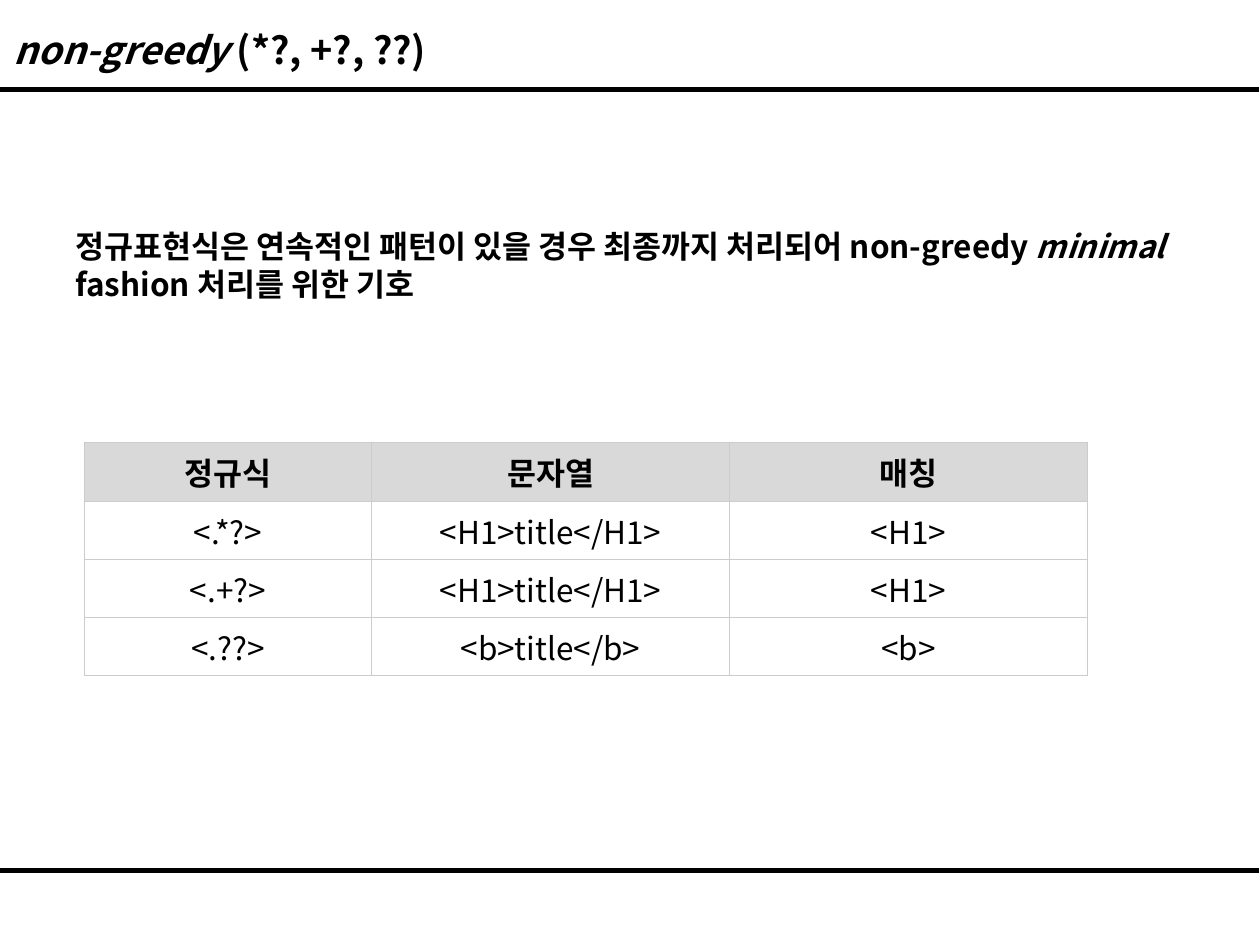
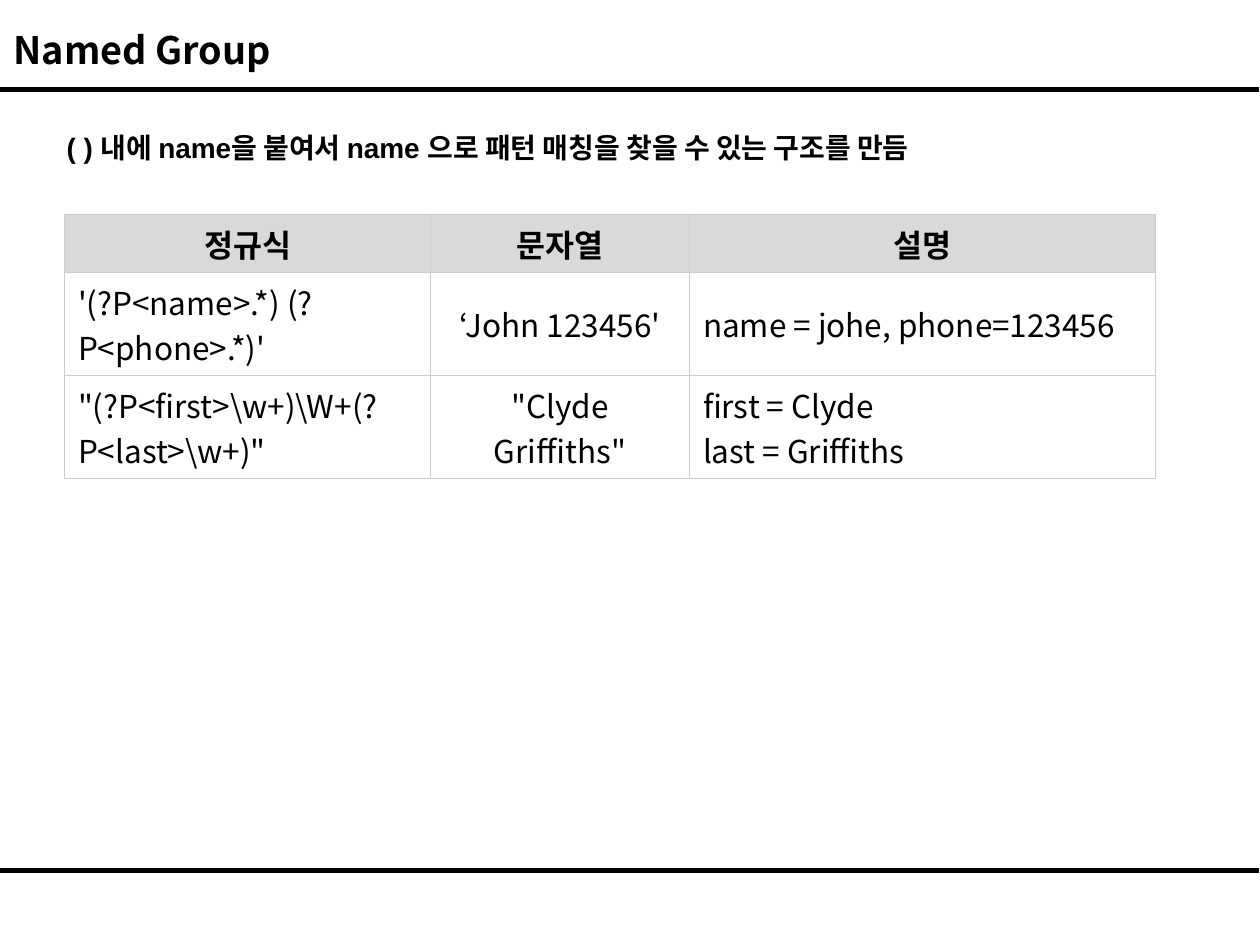
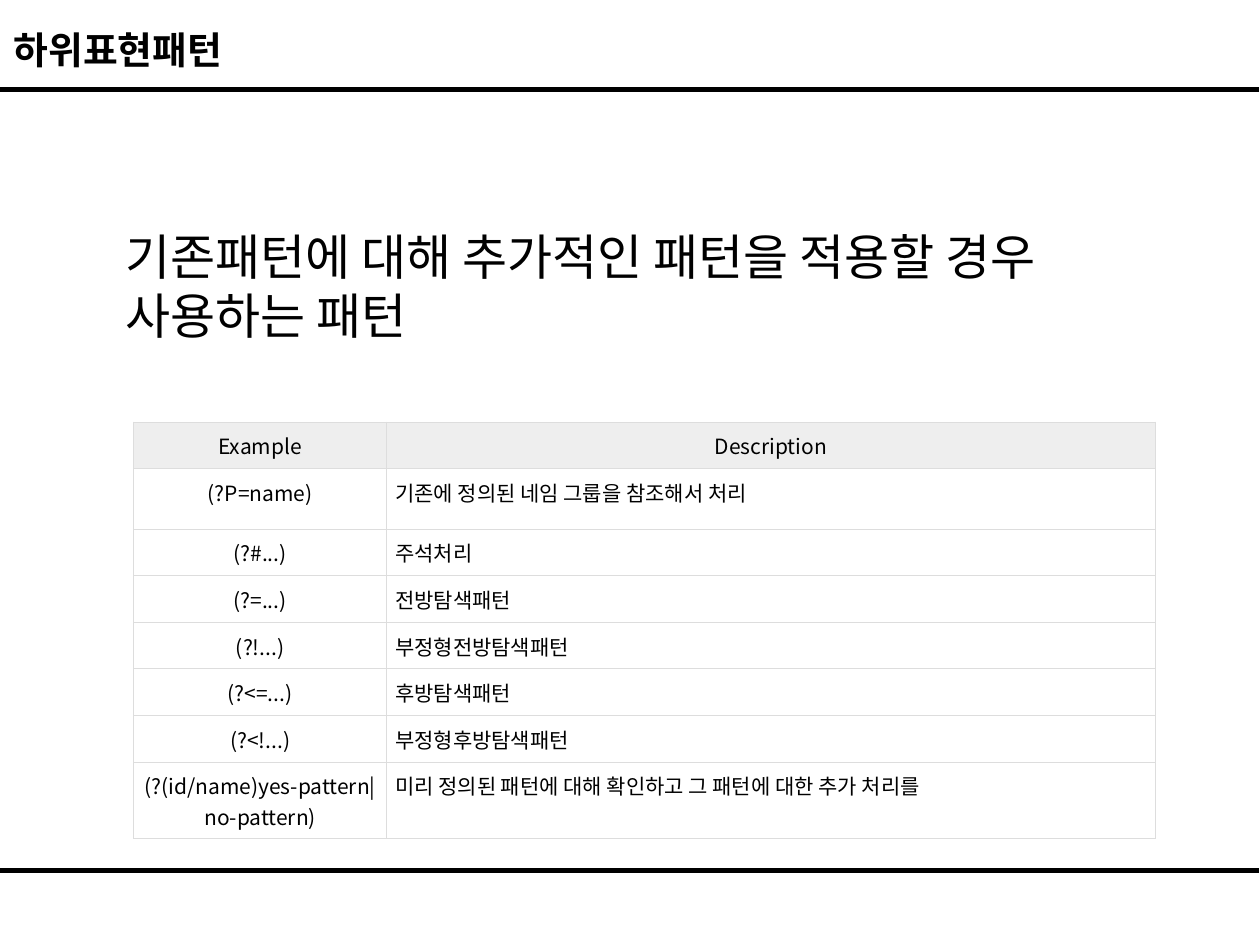
"""Build three slides on regular-expression groups and sub-patterns."""
from dataclasses import dataclass

from lxml.etree import SubElement
from pptx import Presentation
from pptx.dml.color import RGBColor
from pptx.enum.shapes import MSO_CONNECTOR
from pptx.enum.text import MSO_ANCHOR, PP_ALIGN
from pptx.oxml.ns import qn
from pptx.slide import Slide
from pptx.table import _Cell
from pptx.text.text import TextFrame
from pptx.util import Emu, Inches, Pt

BLACK = RGBColor(0x00, 0x00, 0x00)
WHITE = RGBColor(0xFF, 0xFF, 0xFF)
GREY = RGBColor(0xD9, 0xD9, 0xD9)
PALE = RGBColor(0xEE, 0xEE, 0xEE)
RULE = RGBColor(0xCC, 0xCC, 0xCC)
PALE_RULE = RGBColor(0xDD, 0xDD, 0xDD)

SANS = "Noto Sans CJK KR"
LATIN = "Arial"
WIDTH, HEIGHT = Inches(10), Inches(7.5)
COLS, ROWS = 100, 75
RULE_ROWS = (7.1, 69.1)
LEFT, CENTER = PP_ALIGN.LEFT, PP_ALIGN.CENTER


def cols(n: float) -> Emu:
    """Return the width of n grid columns."""
    return Emu(round(WIDTH * n / COLS))


def rows(n: float) -> Emu:
    """Return the height of n grid rows."""
    return Emu(round(HEIGHT * n / ROWS))


@dataclass(frozen=True)
class Style:
    """Font settings of a run."""
    size: float
    bold: bool = False
    italic: bool = False
    font: str = SANS


@dataclass(frozen=True)
class Span:
    """A piece of text in one style."""
    text: str
    style: Style


@dataclass(frozen=True)
class Box:
    """A text area in grid units."""
    left: float
    top: float
    width: float
    height: float
    anchor: MSO_ANCHOR = MSO_ANCHOR.TOP
    indent: float = 0


@dataclass(frozen=True)
class TableLook:
    """Styling of a table."""
    head: Style
    body: Style
    head_fill: RGBColor
    border: RGBColor
    anchor: MSO_ANCHOR
    inset_x: Emu
    inset_y: Emu


@dataclass(frozen=True)
class Grid:
    """A table with its place, track sizes and column alignment."""
    left: float
    top: float
    widths: tuple[float, ...]
    heights: tuple[float, ...]
    aligns: tuple[PP_ALIGN, ...]
    cells: tuple[tuple[str, ...], ...]
    look: TableLook


@dataclass(frozen=True)
class Page:
    """The content of one slide."""
    title: tuple[Span, ...]
    body_box: Box
    body: tuple[Span, ...]
    grid: Grid


TITLE_BOX = Box(0.1, 1.6, 98.8, 4.6, MSO_ANCHOR.MIDDLE)
TITLE = Style(21.6, bold=True)
TITLE_ITALIC = Style(21.6, bold=True, italic=True)
LEAD = Style(18, bold=True)
LEAD_ITALIC = Style(18, bold=True, italic=True)
NOTE = Style(16, bold=True, font=LATIN)
LARGE = Style(28)
SMALL = Style(12)

MAIN_LOOK = TableLook(LEAD, Style(18), GREY, RULE, MSO_ANCHOR.MIDDLE,
                      Inches(0.11), Inches(0.05))
SMALL_LOOK = TableLook(SMALL, SMALL, PALE, PALE_RULE, MSO_ANCHOR.TOP,
                       Pt(4.8), Pt(4.8))

PAGES = (
    Page(
        (Span("non-greedy ", TITLE_ITALIC), Span("(*?, +?, ??)", TITLE)),
        Box(5, 17.5, 90, 14.5),
        (Span("정규표현식은 연속적인 패턴이 있을 경우 최종까지 처리되어 non-greedy ", LEAD),
         Span("minimal ", LEAD_ITALIC),
         Span("fashion 처리를 위한 기호", LEAD)),
        Grid(6.7, 35.1, (22.8, 28.4, 28.4), (4.7, 4.6, 4.6, 4.6), (CENTER,) * 3, (
            ("정규식", "문자열", "매칭"),
            ("<.*?>", "<H1>title</H1>", "<H1>"),
            ("<.+?>", "<H1>title</H1>", "<H1>"),
            ("<.??>", "<b>title</b>", "<b>"),
        ), MAIN_LOOK),
    ),
    Page(
        (Span("Named Group", TITLE),),
        Box(4.3, 9.9, 90, 16.9),
        (Span("( ) 내에 name을 붙여서 name 으로 패턴 매칭을 찾을 수 있는 구조를 만듬", NOTE),),
        Grid(5.1, 17, (29.1, 20.5, 37), (4.6, 8.2, 8.2), (LEFT, CENTER, LEFT), (
            ("정규식", "문자열", "설명"),
            ("'(?P<name>.*) (?P<phone>.*)'", "‘John 123456'",
             "name = johe, phone=123456"),
            (r'"(?P<first>\w+)\W+(?P<last>\w+)"', '"Clyde Griffiths"',
             "first = Clyde\nlast = Griffiths"),
        ), MAIN_LOOK),
    ),
    Page(
        (Span("하위표현패턴", TITLE),),
        Box(5, 17.5, 90, 20, indent=4),
        (Span("기존패턴에 대해 추가적인 패턴을 적용할 경우 사용하는 패턴", LARGE),),
        Grid(10.6, 33.5, (20.1, 61), (3.7, 4.8, *(3.7,) * 5, 6.1), (CENTER, LEFT), (
            ("Example", "Description"),
            ("(?P=name)", "기존에 정의된 네임 그룹을 참조해서 처리"),
            ("(?#...)", "주석처리"),
            ("(?=...)", "전방탐색패턴"),
            ("(?!...)", "부정형전방탐색패턴"),
            ("(?<=...)", "후방탐색패턴"),
            ("(?<!...)", "부정형후방탐색패턴"),
            ("(?(id/name)yes-pattern|no-pattern)",
             "미리 정의된 패턴에 대해 확인하고 그 패턴에 대한 추가 처리를"),
        ), SMALL_LOOK),
    ),
)


def write(tf: TextFrame, paragraphs: list[tuple[Span, ...]],
          align: PP_ALIGN = LEFT, indent: float = 0) -> None:
    """Fill a text frame run by run."""
    for i, spans in enumerate(paragraphs):
        p = tf.add_paragraph() if i else tf.paragraphs[0]
        p.alignment = align
        if indent:
            p._p.get_or_add_pPr().set("marL", str(cols(indent)))
        for span in spans:
            r = p.add_run()
            r.text = span.text
            r.font.size = Pt(span.style.size)
            r.font.bold = span.style.bold
            r.font.italic = span.style.italic
            r.font.color.rgb = BLACK
            r.font.name = span.style.font
            SubElement(r._r.get_or_add_rPr(), qn("a:ea")).set("typeface", SANS)


def add_text(s: Slide, box: Box, spans: tuple[Span, ...]) -> None:
    """Add a wrapped text box holding one paragraph."""
    sp = s.shapes.add_textbox(cols(box.left), rows(box.top),
                              cols(box.width), rows(box.height))
    tf = sp.text_frame
    tf.word_wrap = True
    tf.vertical_anchor = box.anchor
    write(tf, [spans], indent=box.indent)


def add_rule(s: Slide, row: float) -> None:
    """Draw a black rule across the slide."""
    y = rows(row)
    sp = s.shapes.add_connector(MSO_CONNECTOR.STRAIGHT, cols(-0.1), y, cols(99.9), y)
    sp.line.color.rgb = BLACK
    sp.line.width = Pt(2.75)
    SubElement(sp._element.spPr, qn("a:effectLst"))


def set_borders(cell: _Cell, color: RGBColor) -> None:
    """Give a cell thin borders on all sides, ahead of its fill."""
    tcPr = cell._tc.get_or_add_tcPr()
    for side in ("lnL", "lnR", "lnT", "lnB"):
        ln = SubElement(tcPr, qn(f"a:{side}"), w=str(Pt(0.6)))
        fill = SubElement(ln, qn("a:solidFill"))
        SubElement(fill, qn("a:srgbClr"), val=str(color))


def add_grid(s: Slide, grid: Grid) -> None:
    """Add a table whose first row is a header."""
    look = grid.look
    table = s.shapes.add_table(
        len(grid.heights), len(grid.widths), cols(grid.left), rows(grid.top),
        cols(sum(grid.widths)), rows(sum(grid.heights))).table
    table.first_row = table.horz_banding = False
    for column, width in zip(table.columns, grid.widths):
        column.width = cols(width)
    for i, (height, texts) in enumerate(zip(grid.heights, grid.cells)):
        table.rows[i].height = rows(height)
        style = look.body if i else look.head
        for j, (text, align) in enumerate(zip(texts, grid.aligns)):
            cell = table.cell(i, j)
            cell.margin_left = cell.margin_right = look.inset_x
            cell.margin_top = cell.margin_bottom = look.inset_y
            cell.vertical_anchor = look.anchor
            set_borders(cell, look.border)
            cell.fill.solid()
            cell.fill.fore_color.rgb = WHITE if i else look.head_fill
            write(cell.text_frame, [(Span(t, style),) for t in text.split("\n")],
                  align if i else CENTER)


def add_page(prs: Presentation, page: Page) -> None:
    """Add a slide with its rules, title, body and table."""
    s = prs.slides.add_slide(prs.slide_layouts[6])
    for row in RULE_ROWS:
        add_rule(s, row)
    add_text(s, TITLE_BOX, page.title)
    add_text(s, page.body_box, page.body)
    add_grid(s, page.grid)


def main() -> None:
    """Build and save the presentation."""
    prs = Presentation()
    prs.slide_width, prs.slide_height = WIDTH, HEIGHT
    for page in PAGES:
        add_page(prs, page)
    prs.save("out.pptx")


if __name__ == "__main__":
    main()
